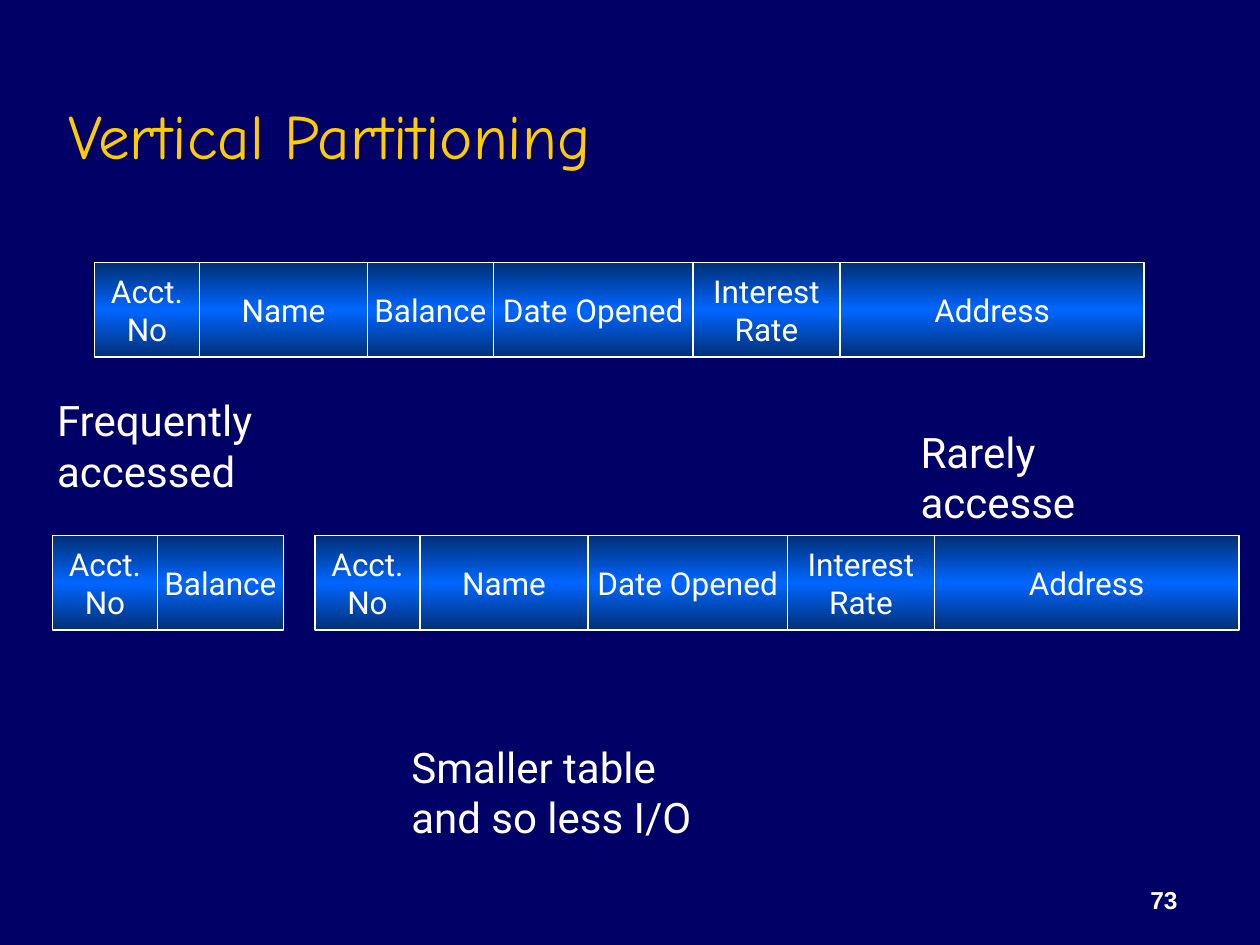
import copy

import pptx
import pptx.dml.color
import pptx.enum.shapes
import pptx.enum.text
import pptx.util

Pt = pptx.util.Pt
ANCHOR = pptx.enum.text.MSO_ANCHOR
ALIGN = pptx.enum.text.PP_ALIGN

COLORS = {
    "background": "000066",
    "title": "FFCC00",
    "text": "FFFFFF",
    "edge": "002F75",
    "middle": "0066FF",
}
COLUMN_WIDTHS = {
    "Acct.\vNo": 60,
    "Name": 96,
    "Balance": 72,
    "Date Opened": 114,
    "Interest\vRate": 84,
    "Address": 174,
}
ROW_HEIGHT = 54


def rgb(name):
    return pptx.dml.color.RGBColor.from_string(COLORS[name])


def style(paragraph, size, font="Roboto", color="text", bold=False, align=ALIGN.LEFT):
    paragraph.alignment = align
    paragraph.font.size = Pt(size)
    paragraph.font.name = font
    paragraph.font.bold = bold
    paragraph.font.color.rgb = rgb(color)


def add_text(slide, text, box, size, wrap=True, anchor=ANCHOR.TOP, **look):
    frame = slide.shapes.add_textbox(*map(Pt, box)).text_frame
    frame.word_wrap = wrap
    frame.vertical_anchor = anchor
    frame.text = text
    for paragraph in frame.paragraphs:
        style(paragraph, size, **look)


def fill_with_band(fill):
    """Fill with a vertical gradient that is brightest halfway down."""
    fill.gradient()
    fill.gradient_angle = 270
    first = fill.gradient_stops[0]
    for stop in fill.gradient_stops:
        stop.color.rgb = rgb("edge")
    stop_list = fill._fill._gradFill.gsLst
    stop_list.insert(1, copy.deepcopy(stop_list[0]))
    middle = fill.gradient_stops[1]
    middle.position = 0.5
    middle.color.rgb = rgb("middle")
    first.position = 0


def add_column(shapes, name, left, top):
    column = shapes.add_shape(
        pptx.enum.shapes.MSO_SHAPE.RECTANGLE,
        Pt(left), Pt(top), Pt(COLUMN_WIDTHS[name]), Pt(ROW_HEIGHT),
    )
    column.shadow.inherit = False
    fill_with_band(column.fill)
    column.line.color.rgb = rgb("text")
    column.line.width = Pt(1)
    frame = column.text_frame
    frame.word_wrap = False
    frame.vertical_anchor = ANCHOR.MIDDLE
    frame.text = name
    style(frame.paragraphs[0], 18, align=ALIGN.CENTER)


def add_table_row(shapes, names, left, top):
    """Lay the named columns side by side."""
    for name in names:
        add_column(shapes, name, left, top)
        left += COLUMN_WIDTHS[name]


def main():
    deck = pptx.Presentation()
    deck.slide_width, deck.slide_height = Pt(720), Pt(540)
    slide = deck.slides.add_slide(deck.slide_layouts[6])
    slide.background.fill.solid()
    slide.background.fill.fore_color.rgb = rgb("background")

    add_text(slide, "Vertical Partitioning", (32, 18, 612, 84), 36,
             anchor=ANCHOR.BOTTOM, font="Comic Neue", color="title")
    add_text(slide, "Frequently\naccessed", (25.5, 222, 135, 65), 24, wrap=False)
    add_text(slide, "Rarely\naccessed", (519, 240, 116, 65), 24, wrap=False)
    add_text(slide, "Smaller table\nand so less I/O", (228, 420, 186, 65), 24)

    key = "Acct.\vNo"
    frequent = [key, "Balance"]
    rare = [name for name in COLUMN_WIDTHS if name != "Balance"]
    add_table_row(slide.shapes, COLUMN_WIDTHS, 54, 150)
    for partition, left in ((frequent, 30), (rare, 180)):
        add_table_row(slide.shapes.add_group_shape().shapes, partition, left, 306)

    add_text(slide, "73", (530, 490, 150, 36), 14, anchor=ANCHOR.BOTTOM,
             font="Arial", bold=True, align=ALIGN.RIGHT)
    deck.save("out.pptx")


if __name__ == "__main__":
    main()
